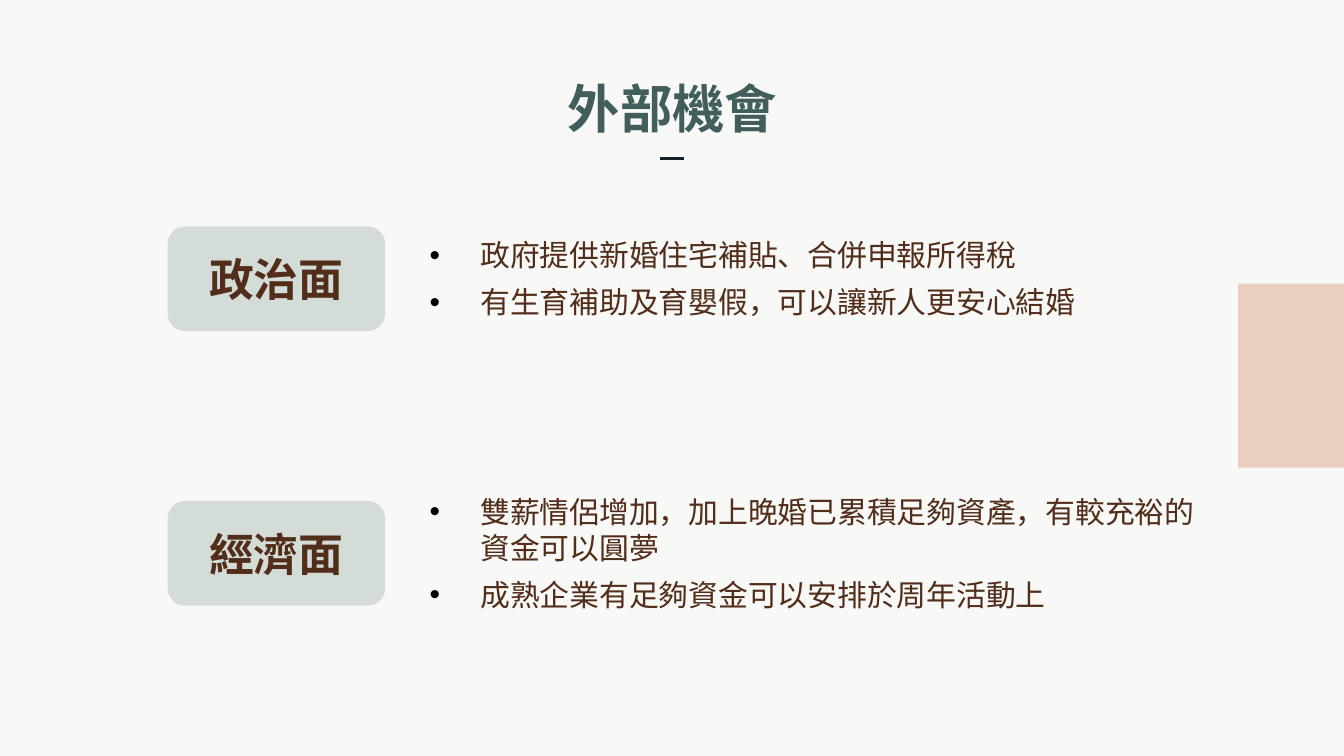
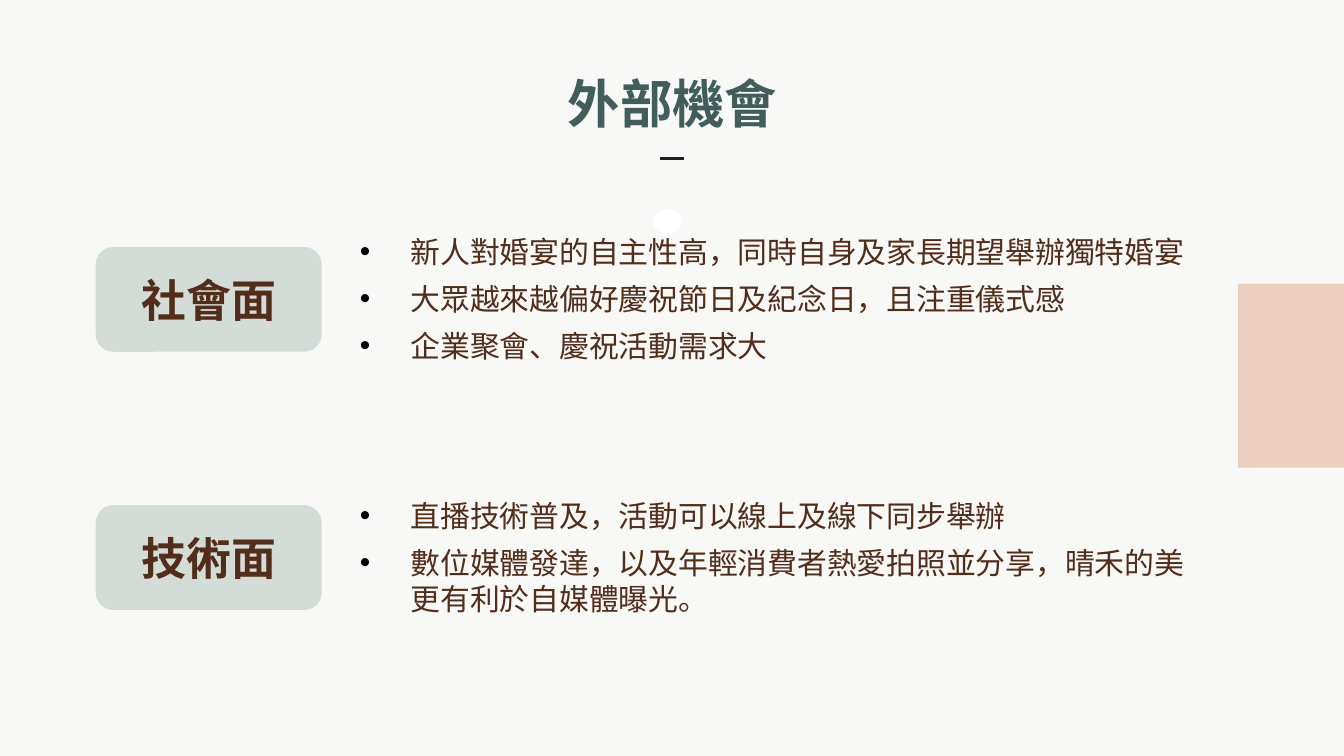
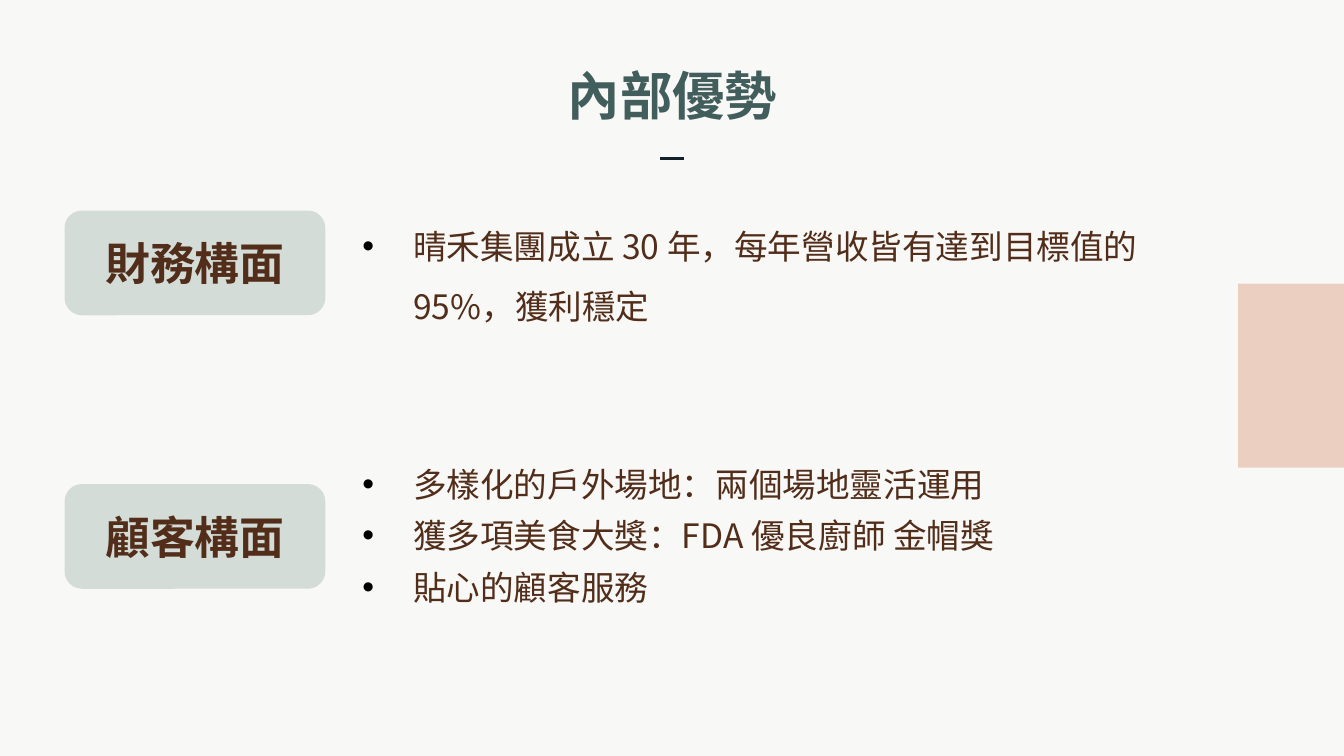
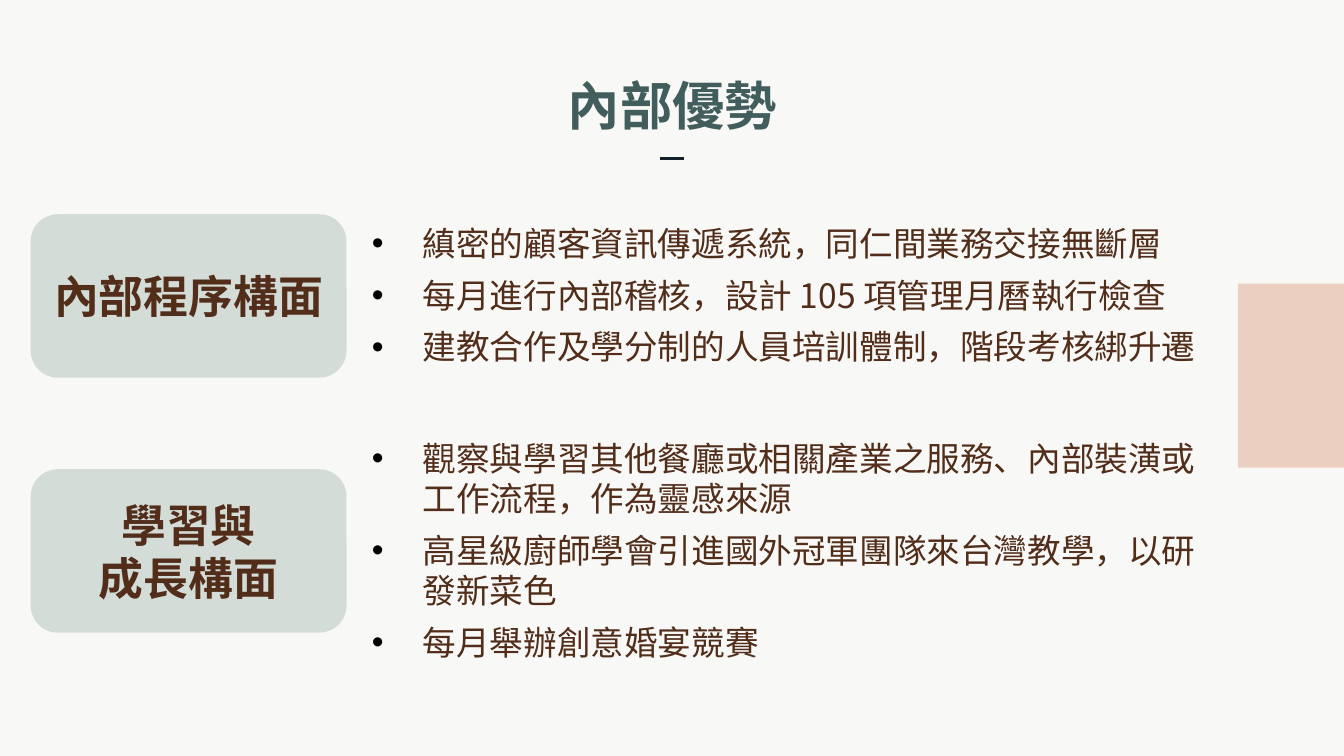
from lxml import etree
from pptx import Presentation
from pptx import util as u
from pptx.dml import color
from pptx.enum import shapes, text
from pptx.oxml import ns

FONT = "Noto Sans CJK SC"
PAPER, BLUSH, SAGE, WHITE = "F8F8F6", "EBD0C2", "D4DCD8", "FFFFFF"
TEAL, INK, BROWN, BLACK = "415D5C", "15212A", "512D1A", "000000"
WIDTH, HEIGHT = 25.4, 14.29
INDENT = 0.96


def rgb(value):
    """Turn a hex string into a colour."""
    return color.RGBColor.from_string(value)


def add_run(p, words, size, ink, bold=False):
    """Add one formatted run to a paragraph."""
    r = p.add_run()
    r.text = words
    r.font.size, r.font.bold, r.font.name = u.Pt(size), bold, FONT
    r.font.color.rgb = rgb(ink)
    etree.SubElement(r._r.get_or_add_rPr(), ns.qn("a:ea"), typeface=FONT)


def add_bullet(p):
    """Give a paragraph a black bullet and a hanging indent."""
    pPr = p._p.get_or_add_pPr()
    pPr.set("marL", str(u.Cm(INDENT)))
    pPr.set("indent", str(-u.Cm(INDENT)))
    clr = etree.SubElement(pPr, ns.qn("a:buClr"))
    etree.SubElement(clr, ns.qn("a:srgbClr"), val=BLACK)
    etree.SubElement(pPr, ns.qn("a:buFont"), typeface="Arial")
    etree.SubElement(pPr, ns.qn("a:buChar"), char="•")


def add_block(parent, kind, box, fill):
    """Add a plain filled shape without outline or shadow."""
    sp = parent.add_shape(kind, *map(u.Cm, box))
    sp.fill.solid()
    sp.fill.fore_color.rgb = rgb(fill)
    sp.line.fill.background()
    sp.shadow.inherit = False
    return sp


def add_frame(s, title, top):
    """Add the heading, its short rule and the side band."""
    add_block(s.shapes, shapes.MSO_SHAPE.RECTANGLE, (23.4, 5.36, 2, 3.48), BLUSH)
    rule = s.shapes.add_connector(shapes.MSO_CONNECTOR.STRAIGHT,
                                  *map(u.Cm, (12.93, 3, 12.47, 3)))
    rule.line.color.rgb = rgb(INK)
    rule.line.width = u.Pt(1.5)
    etree.SubElement(rule._element.spPr, ns.qn("a:effectLst"))
    sp = s.shapes.title
    sp.left, sp.top, sp.width, sp.height = map(u.Cm, (7.32, top, 10.77, 1.6))
    tf = sp.text_frame
    tf.auto_size = text.MSO_AUTO_SIZE.NONE
    tf.vertical_anchor = text.MSO_ANCHOR.TOP
    tf.margin_left = tf.margin_right = tf.margin_top = tf.margin_bottom = u.Cm(0.25)
    p = tf.paragraphs[0]
    p.alignment = text.PP_ALIGN.CENTER
    add_run(p, title, 28, TEAL, True)


def add_badge(parent, box, lines):
    """Add the rounded label of one aspect."""
    sp = add_block(parent, shapes.MSO_SHAPE.ROUNDED_RECTANGLE, box, SAGE)
    tf = sp.text_frame
    tf.vertical_anchor = text.MSO_ANCHOR.MIDDLE
    for i, line in enumerate(lines):
        p = tf.add_paragraph() if i else tf.paragraphs[0]
        p.alignment = text.PP_ALIGN.CENTER
        add_run(p, line, 24, BROWN, True)


def add_points(parent, box, points, size, spacing):
    """Add the bulleted points of one aspect."""
    tf = parent.add_textbox(*map(u.Cm, box)).text_frame
    tf.word_wrap = True
    for i, point in enumerate(points):
        p = tf.add_paragraph() if i else tf.paragraphs[0]
        add_bullet(p)
        if i:
            p.space_before = u.Pt(6)
        if spacing:
            p.line_spacing = spacing
        add_run(p, point, size, BROWN)


def add_aspect(s, badge, column, size, grouped, row):
    """Add a label with its points centred beside it."""
    left, width, height = badge
    top, label, points_width, points_height, points, spacing = row
    parent = s.shapes.add_group_shape().shapes if grouped else s.shapes
    add_badge(parent, (left, top, width, height), label)
    points_top = top + (height - points_height) / 2
    add_points(parent, (column, points_top, points_width, points_height),
               points, size, spacing)


def add_aspects_slide(prs, title, title_top, badge, column, size, rows,
                      grouped=False, dot=None):
    """Add a slide with a heading and its aspects."""
    s = prs.slides.add_slide(prs.slide_layouts[5])
    add_frame(s, title, title_top)
    if dot:
        add_block(s.shapes, shapes.MSO_SHAPE.OVAL, dot, WHITE)
    for row in rows:
        add_aspect(s, badge, column, size, grouped, row)


def main():
    """Build and save the presentation."""
    prs = Presentation()
    prs.slide_width, prs.slide_height = u.Cm(WIDTH), u.Cm(HEIGHT)
    fill = prs.slide_master.background.fill
    fill.solid()
    fill.fore_color.rgb = rgb(PAPER)

    add_aspects_slide(prs, "外部機會", 1.19, (3.17, 4.11, 1.98), 7.87, 16, [
        (4.28, ["政治面"], 12.88, 1.83, [
            "政府提供新婚住宅補貼、合併申報所得稅",
            "有生育補助及育嬰假，可以讓新人更安心結婚"], None),
        (9.47, ["經濟面"], 15.29, 2.51, [
            "雙薪情侶增加，加上晚婚已累積足夠資產，有較充裕的資金可以圓夢",
            "成熟企業有足夠資金可以安排於周年活動上"], None)])
    add_aspects_slide(prs, "外部機會", 1.09, (1.81, 4.27, 1.98), 6.55, 16, [
        (4.67, ["社會面"], 16.48, 2.74, [
            "新人對婚宴的自主性高，同時自身及家長期望舉辦獨特婚宴",
            "大眾越來越偏好慶祝節日及紀念日，且注重儀式感",
            "企業聚會、慶祝活動需求大"], None),
        (9.55, ["技術面"], 16.26, 2.51, [
            "直播技術普及，活動可以線上及線下同步舉辦",
            "數位媒體發達，以及年輕消費者熱愛拍照並分享，晴禾的美更有利於自媒體曝光。"], None)],
        dot=(12.34, 3.96, 0.55, 0.46))
    add_aspects_slide(prs, "內部優勢", 0.94, (1.22, 4.93, 1.98), 6.6, 18, [
        (3.98, ["財務構面"], 16.28, 2.41, [
            "晴禾集團成立 30 年，每年營收皆有達到目標值的 95%，獲利穩定"], 1.5),
        (9.15, ["顧客構面"], 18.06, 3, [
            "多樣化的戶外場地：兩個場地靈活運用",
            "獲多項美食大獎：FDA 優良廚師 金帽獎",
            "貼心的顧客服務"], None)], grouped=True)
    add_aspects_slide(prs, "內部優勢", 1.14, (0.58, 5.97, 3.09), 6.78, 18, [
        (4.05, ["內部程序構面"], 18.03, 3, [
            "縝密的顧客資訊傳遞系統，同仁間業務交接無斷層",
            "每月進行內部稽核，設計 105 項管理月曆執行檢查",
            "建教合作及學分制的人員培訓體制，階段考核綁升遷"], None),
        (8.87, ["學習與", "成長構面"], 16.38, 4.52, [
            "觀察與學習其他餐廳或相關產業之服務、內部裝潢或工作流程，作為靈感來源",
            "高星級廚師學會引進國外冠軍團隊來台灣教學，以研發新菜色",
            "每月舉辦創意婚宴競賽"], None)], grouped=True)
    prs.save("out.pptx")


if __name__ == "__main__":
    main()
